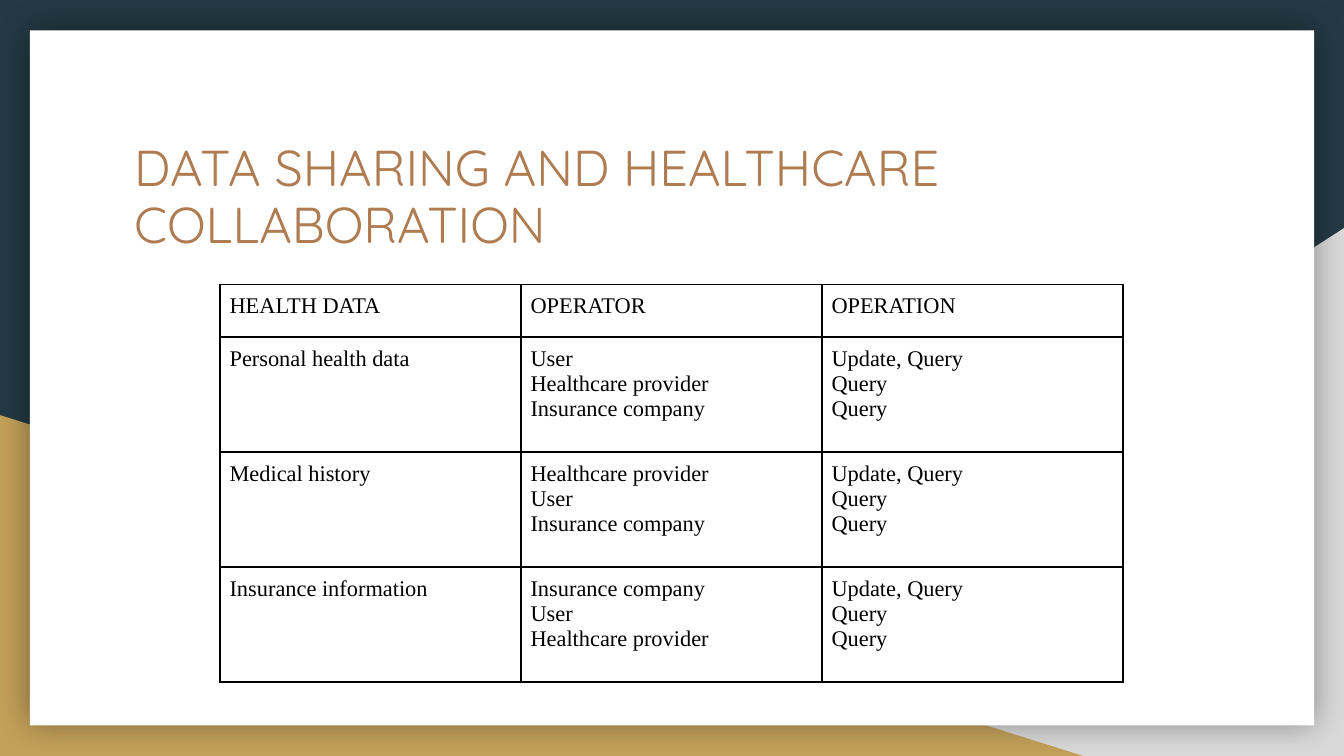
from dataclasses import dataclass

from lxml import etree
from pptx import Presentation
from pptx.dml.color import RGBColor
from pptx.enum.shapes import MSO_SHAPE
from pptx.enum.text import MSO_ANCHOR
from pptx.oxml.ns import qn
from pptx.slide import Slide
from pptx.table import _Cell
from pptx.util import Pt

RECTANGLE = MSO_SHAPE.RECTANGLE
RIGHT_TRIANGLE = MSO_SHAPE.RIGHT_TRIANGLE
TOP = MSO_ANCHOR.TOP

NAVY = RGBColor(0x23, 0x3A, 0x44)
GRAY = RGBColor(0xD9, 0xD9, 0xD9)
GOLD = RGBColor(0xC4, 0xA1, 0x5A)
WHITE = RGBColor(0xFF, 0xFF, 0xFF)
BROWN = RGBColor(0xAF, 0x7B, 0x51)
BLACK = RGBColor(0x00, 0x00, 0x00)

TITLE = "DATA SHARING AND HEALTHCARE COLLABORATION"
OPERATIONS = "Update, Query\nQuery\nQuery"
ROWS = [
    ("HEALTH DATA", "OPERATOR", "OPERATION"),
    ("Personal health data", "User\nHealthcare provider\nInsurance company", OPERATIONS),
    ("Medical history", "Healthcare provider\nUser\nInsurance company", OPERATIONS),
    ("Insurance information", "Insurance company\nUser\nHealthcare provider", OPERATIONS),
]
TABLE_LEFT, TABLE_TOP = 118, 152.4
COLUMN_WIDTH = 161.25
HEADER_HEIGHT, BODY_HEIGHT = 28.3, 61.6
CELL_MARGIN = 5


@dataclass
class Panel:
    kind: MSO_SHAPE
    left: float
    top: float
    width: float
    height: float
    color: RGBColor
    flipped: bool = False
    shadowed: bool = False


PANELS = [
    Panel(RIGHT_TRIANGLE, 282.2, 122.2, 437.8, 282.8, GRAY, flipped=True),
    Panel(RIGHT_TRIANGLE, 0, 222.4, 580.3, 182.6, GOLD),
    Panel(RECTANGLE, 16, 16.2, 688, 372.4, WHITE, shadowed=True),
]


def add_panel(slide: Slide, panel: Panel) -> None:
    shape = slide.shapes.add_shape(
        panel.kind, Pt(panel.left), Pt(panel.top), Pt(panel.width), Pt(panel.height)
    )
    shape.shadow.inherit = False
    shape.fill.solid()
    shape.fill.fore_color.rgb = panel.color
    shape.line.fill.background()
    properties = shape.element.spPr
    if panel.flipped:
        properties.find(qn("a:xfrm")).set("flipH", "1")
    if panel.shadowed:
        effects = properties.find(qn("a:effectLst"))
        shadow = etree.SubElement(
            effects, qn("a:outerShdw"), blurRad=str(Pt(18)), dist="0", dir="0",
            algn="ctr", rotWithShape="0",
        )
        color = etree.SubElement(shadow, qn("a:srgbClr"), val=str(BLACK))
        etree.SubElement(color, qn("a:alpha"), val="40000")


def add_title(slide: Slide) -> None:
    box = slide.shapes.add_textbox(Pt(64.8), Pt(66.2), Pt(591), Pt(74.9))
    frame = box.text_frame
    frame.word_wrap = True
    frame.vertical_anchor = TOP
    frame.margin_left = frame.margin_right = frame.margin_bottom = Pt(7.2)
    frame.margin_top = Pt(9)
    frame.text = TITLE
    paragraph = frame.paragraphs[0]
    paragraph.line_spacing = 0.95
    font = paragraph.runs[0].font
    font.name = "Quicksand"
    font.size = Pt(27)
    font.color.rgb = BROWN


def add_borders(cell: _Cell) -> None:
    properties = cell._tc.get_or_add_tcPr()
    for side in ("a:lnL", "a:lnR", "a:lnT", "a:lnB"):
        line = etree.SubElement(properties, qn(side), w=str(Pt(1)))
        fill = etree.SubElement(line, qn("a:solidFill"))
        etree.SubElement(fill, qn("a:srgbClr"), val=str(BLACK))


def fill_cell(cell: _Cell, text: str) -> None:
    add_borders(cell)
    cell.fill.background()
    cell.margin_left = cell.margin_right = Pt(CELL_MARGIN)
    cell.margin_top = cell.margin_bottom = Pt(CELL_MARGIN)
    cell.text_frame.text = text
    for paragraph in cell.text_frame.paragraphs:
        font = paragraph.runs[0].font
        font.name = "Times New Roman"
        font.size = Pt(12)
        font.color.rgb = BLACK


def add_operations_table(slide: Slide) -> None:
    heights = [HEADER_HEIGHT] + [BODY_HEIGHT] * (len(ROWS) - 1)
    column_count = len(ROWS[0])
    table = slide.shapes.add_table(
        len(ROWS), column_count, Pt(TABLE_LEFT), Pt(TABLE_TOP),
        Pt(COLUMN_WIDTH * column_count), Pt(sum(heights)),
    ).table
    table.first_row = False
    table.horz_banding = False
    for column in table.columns:
        column.width = Pt(COLUMN_WIDTH)
    for row, height, texts in zip(table.rows, heights, ROWS):
        row.height = Pt(height)
        for cell, text in zip(row.cells, texts):
            fill_cell(cell, text)


def main() -> None:
    presentation = Presentation()
    presentation.slide_width = Pt(720)
    presentation.slide_height = Pt(405)
    slide = presentation.slides.add_slide(presentation.slide_layouts[6])
    slide.background.fill.solid()
    slide.background.fill.fore_color.rgb = NAVY
    for panel in PANELS:
        add_panel(slide, panel)
    add_title(slide)
    add_operations_table(slide)
    presentation.save("out.pptx")


if __name__ == "__main__":
    main()
